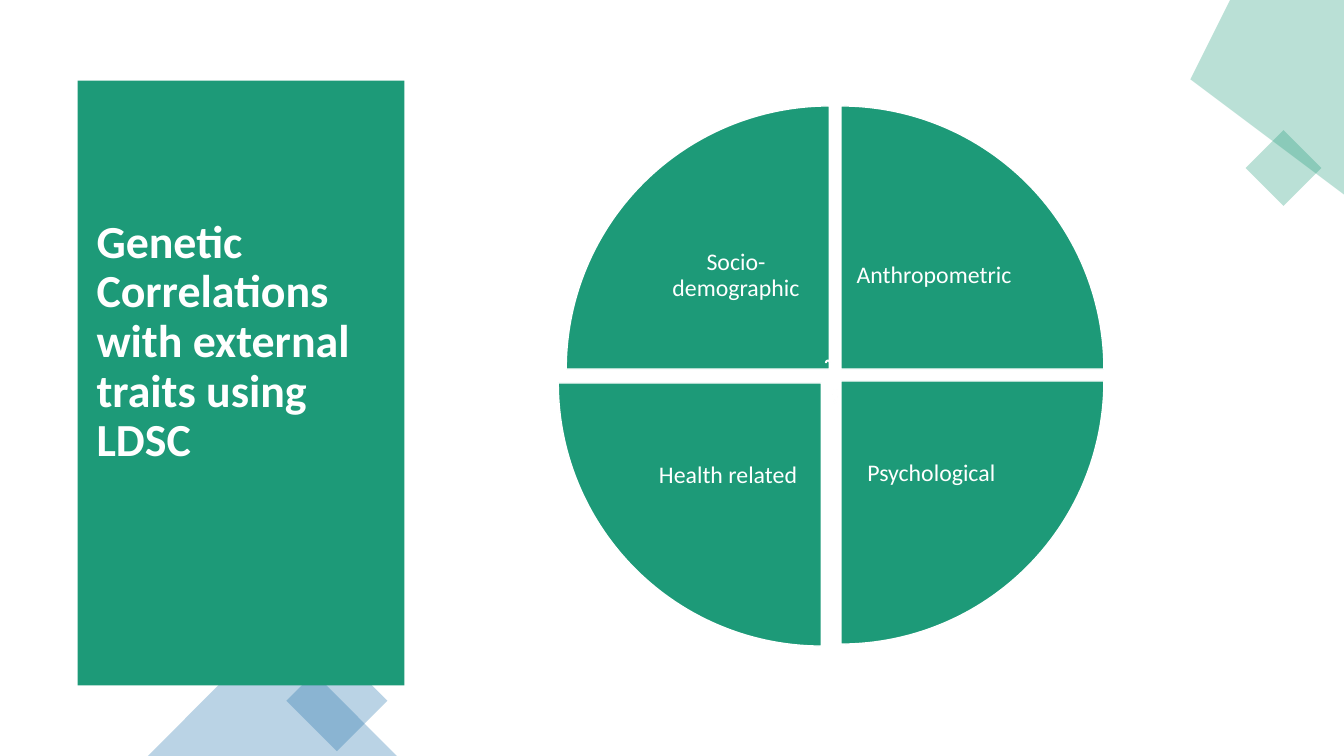
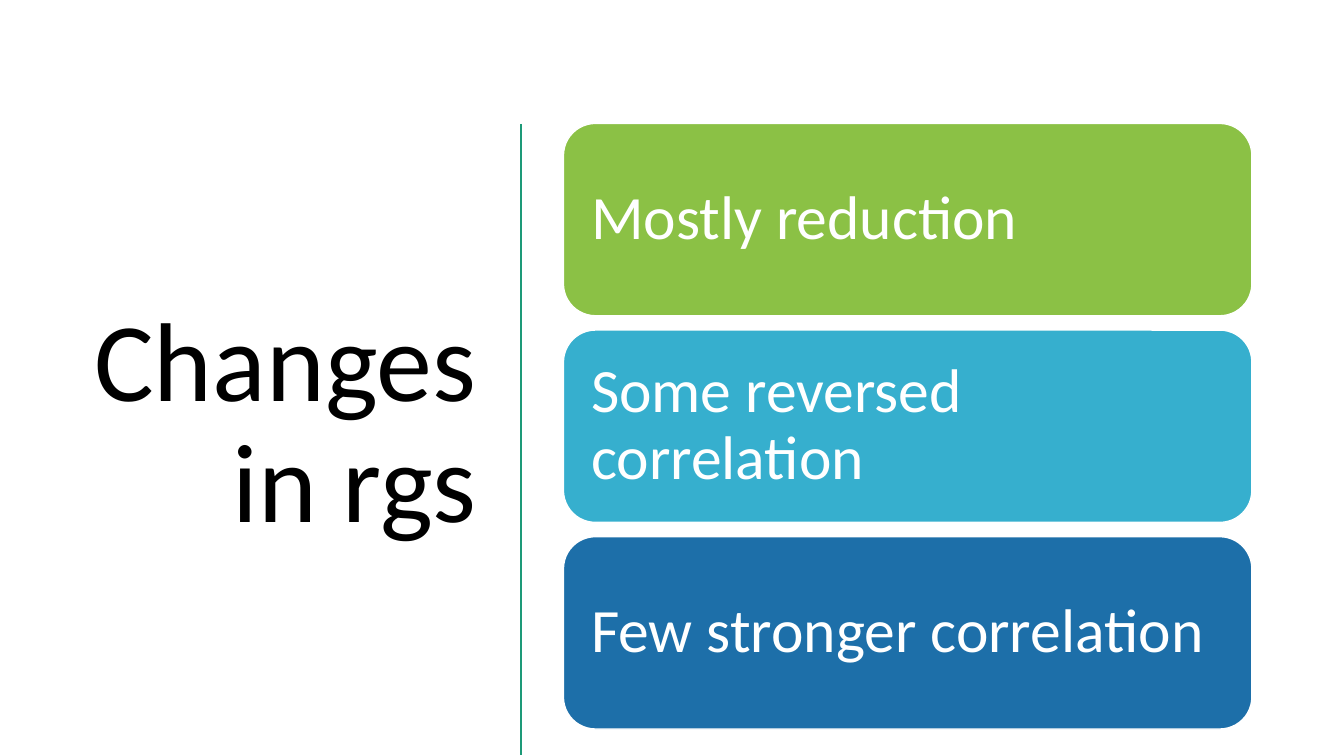
from lxml import etree
from pptx import Presentation
from pptx.dml.color import RGBColor
from pptx.enum.shapes import MSO_CONNECTOR, MSO_SHAPE as Preset
from pptx.enum.text import MSO_ANCHOR, MSO_AUTO_SIZE, PP_ALIGN as Align
from pptx.oxml.ns import qn
from pptx.util import Cm, Pt

TEAL = RGBColor(0x1D, 0x9A, 0x78)
BLUE = RGBColor(0x1D, 0x6F, 0xA9)
GREEN = RGBColor(0x8B, 0xC1, 0x45)
CYAN = RGBColor(0x36, 0xAF, 0xCE)
SAGE = RGBColor(0xAC, 0xCA, 0xBE)
WHITE = RGBColor(0xFF, 0xFF, 0xFF)
BLACK = RGBColor(0, 0, 0)
FONT = "Calibri"
TITLE_ONLY = 5


def cm_box(box):
    """Convert left, top, width and height from centimetres."""
    return [Cm(value) for value in box]


def write(holder, text, size, color=WHITE, bold=False, align=Align.LEFT, margin=None):
    """Put one formatted, vertically centred paragraph into a shape."""
    frame = holder.text_frame
    frame.word_wrap = True
    frame.auto_size = MSO_AUTO_SIZE.NONE
    frame.vertical_anchor = MSO_ANCHOR.MIDDLE
    if margin is not None:
        frame.margin_left = frame.margin_right = Cm(margin)
        frame.margin_top = frame.margin_bottom = Cm(margin)
    paragraph = frame.paragraphs[0]
    paragraph.alignment = align
    paragraph.line_spacing = 0.9
    run = paragraph.add_run()
    run.text = text
    run.font.name = FONT
    run.font.size = Pt(size)
    run.font.bold = bold
    run.font.color.rgb = color


def paint(shape, color, alpha=None, outlined=False, rotation=0):
    """Give a shape its flat fill, optional opacity and white outline."""
    shape.shadow.inherit = False
    shape.rotation = rotation
    shape.fill.solid()
    shape.fill.fore_color.rgb = color
    if alpha is not None:
        tone = shape.element.spPr.find(qn("a:solidFill"))[0]
        etree.SubElement(tone, qn("a:alpha"), val=str(alpha * 1000))
    if outlined:
        shape.line.color.rgb = WHITE
        shape.line.width = Pt(1)
    else:
        shape.line.fill.background()
    return shape


def add_figure(slide, preset, box, color, **style):
    """Add a painted preset shape in the given box."""
    return paint(slide.shapes.add_shape(preset, *cm_box(box)), color, **style)


def set_title(slide, text, box, size, **style):
    """Fill the title placeholder, place it and bring it to the front."""
    title = slide.shapes.title
    title.left, title.top, title.width, title.height = cm_box(box)
    write(title, text, size, **style)
    title.element.getparent().append(title.element)


def add_corner_accents(slide):
    """Draw the translucent diamonds at the top right and bottom left."""
    outline = [(31.34, 0), (29.85, 1.5), (33.53, 5.18), (33.87, 4.85)]
    builder = slide.shapes.build_freeform(33.87, 0, scale=Cm(1))
    builder.add_line_segments(outline, close=True)
    paint(builder.convert_to_shape(), TEAL, alpha=30)
    add_figure(slide, Preset.RECTANGLE, (31.67, 3.56, 1.35, 1.35), TEAL, alpha=30, rotation=45)
    add_figure(slide, Preset.RECTANGLE, (7.59, 16.76, 1.8, 1.8), BLUE, alpha=30, rotation=45)
    add_figure(slide, Preset.ISOSCELES_TRIANGLE, (3.73, 15.9, 6.27, 3.15), BLUE, alpha=30)


def add_quadrant(slide, text, corner, rotation, side=6.63, label_side=4.7):
    """Draw one pie wedge with its label against the centre of the circle."""
    left, top = corner
    add_figure(slide, Preset.PIE_WEDGE, (left, top, side, side), TEAL,
               outlined=True, rotation=rotation)
    shift = side - label_side
    label_left = left + shift if rotation in (0, 270) else left
    label_top = top + shift if rotation in (0, 90) else top
    label = slide.shapes.add_textbox(*cm_box((label_left, label_top, label_side, label_side)))
    write(label, text, 17, align=Align.CENTER, margin=0.33)


def add_trait_circle(slide):
    """Draw the four trait groups around the circle with its centre arrows."""
    groups = [
        ("Socio-demographic", (14.27, 2.67)),
        ("Anthropometric", (21.19, 2.67)),
        ("Psychological ", (21.19, 9.6)),
        ("Health related", (14.07, 9.65)),
    ]
    for turn, (text, corner) in enumerate(groups):
        add_quadrant(slide, text, corner, turn * 90)
    for box, rotation in (((20.8, 9.07, 0.13, 0.13), 0), ((20.98, 9.47, 0.13, 0.71), 180)):
        add_figure(slide, Preset.CIRCULAR_ARROW, box, SAGE, outlined=True, rotation=rotation)


def add_cards(slide, box, cards, gap):
    """Stack equal rounded cards inside the box."""
    left, top, width, height = box
    card_height = (height - gap * (len(cards) - 1)) / len(cards)
    for row, (text, color) in enumerate(cards):
        card_top = top + row * (card_height + gap)
        card = add_figure(slide, Preset.ROUNDED_RECTANGLE,
                          (left, card_top, width, card_height), color, outlined=True)
        write(card, text, 44, margin=0.46)


def add_divider(slide, x, top, bottom):
    """Draw the vertical rule beside the title."""
    rule = slide.shapes.add_connector(MSO_CONNECTOR.STRAIGHT, *cm_box((x, top, x, bottom)))
    rule.line.color.rgb = TEAL
    rule.line.width = Pt(2)
    etree.SubElement(rule.element.spPr, qn("a:effectLst"))


def build_correlation_slide(deck):
    """Build the slide on genetic correlations with external traits."""
    slide = deck.slides.add_slide(deck.slide_layouts[TITLE_ONLY])
    add_corner_accents(slide)
    add_figure(slide, Preset.RECTANGLE, (1.96, 2.03, 8.23, 15.24), TEAL)
    set_title(slide, "Genetic Correlations with external traits using LDSC",
              (2.18, 2.59, 7.98, 12.09), 32.8, bold=True)
    add_trait_circle(slide)


def build_changes_slide(deck):
    """Build the slide on changes in the correlations."""
    slide = deck.slides.add_slide(deck.slide_layouts[TITLE_ONLY])
    set_title(slide, "Changes in rgs", (1.32, 2.97, 10.95, 15.52), 80,
              color=BLACK, align=Align.RIGHT)
    add_divider(slide, 13.13, 3.12, 19.03)
    cards = [
        ("Mostly reduction", GREEN),
        ("Some reversed correlation", CYAN),
        ("Few stronger correlation", BLUE),
    ]
    add_cards(slide, (14.2, 3.11, 17.35, 15.26), cards, gap=0.36)


def main():
    """Build and save the presentation."""
    deck = Presentation()
    deck.slide_width, deck.slide_height = Cm(33.87), Cm(19.05)
    build_correlation_slide(deck)
    build_changes_slide(deck)
    deck.save("out.pptx")


if __name__ == "__main__":
    main()
